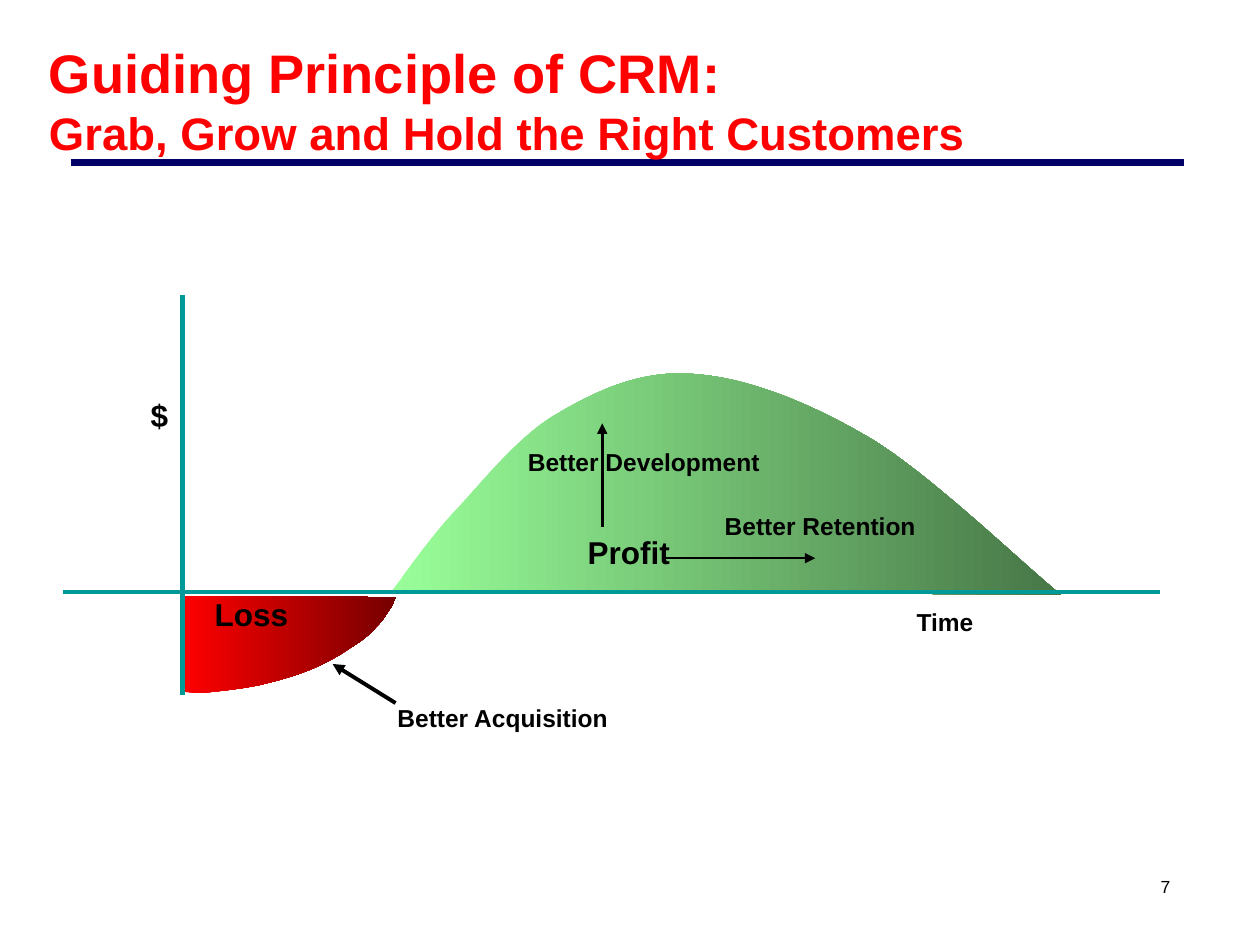
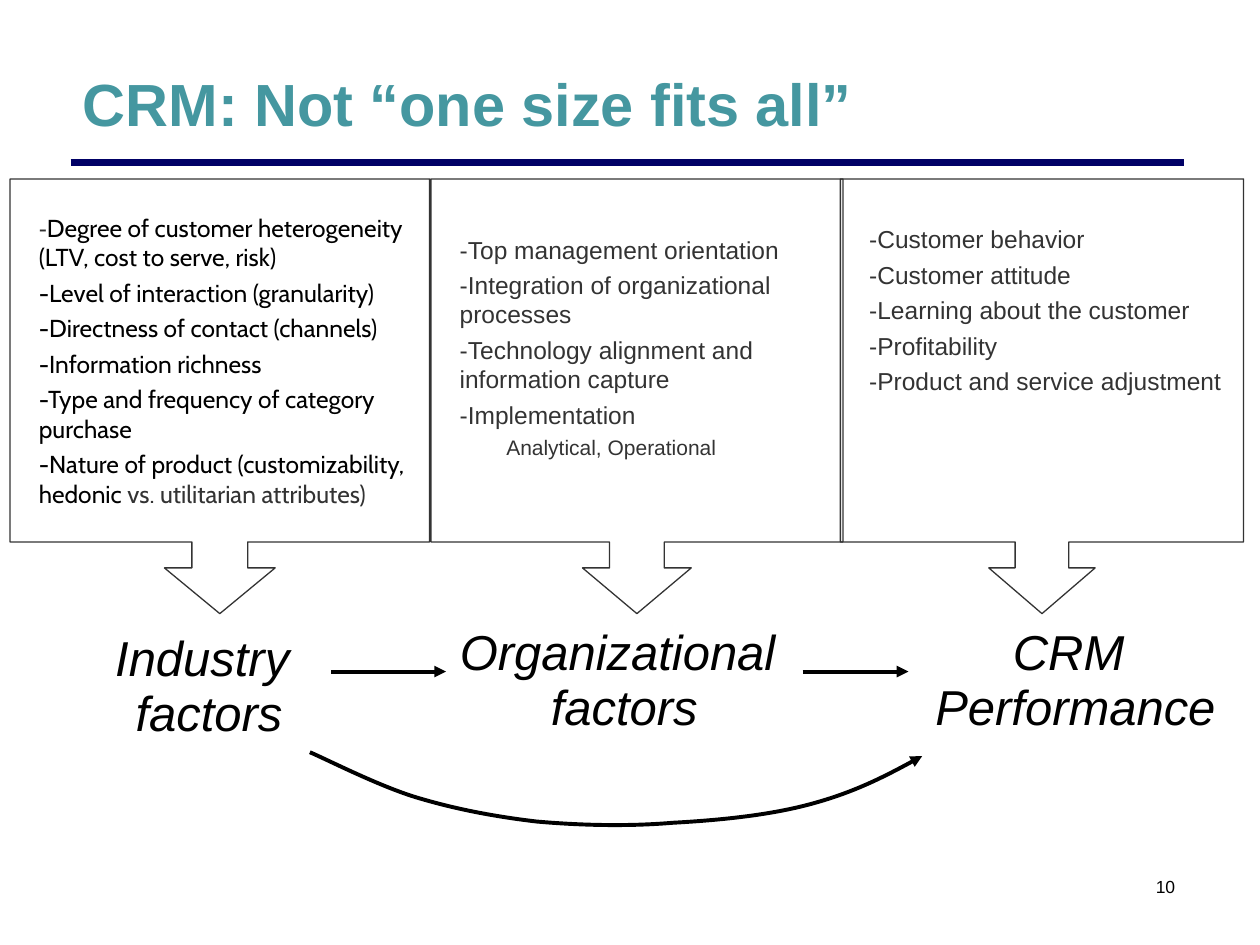
from dataclasses import dataclass, replace

from lxml.etree import SubElement
from pptx import Presentation
from pptx.dml.color import RGBColor
from pptx.enum.shapes import MSO_CONNECTOR, MSO_SHAPE
from pptx.enum.text import MSO_ANCHOR, PP_ALIGN
from pptx.oxml.ns import qn
from pptx.util import Inches, Pt


@dataclass(frozen=True)
class Style:
    size: int
    color: str = "000000"
    bold: bool = False
    italic: bool = False
    font: str = "Arial"


@dataclass(frozen=True)
class Theme:
    rule: str = "000066"
    axis: str = "009999"
    ink: str = "000000"
    outline: str = "333333"
    profit: tuple = ("99FF99", "477647")
    loss: tuple = ("FF0000", "760000")
    title: Style = Style(34, "4597A0", bold=True)
    title_red: Style = Style(31, "FF0000", bold=True)
    subtitle_red: Style = Style(26, "FF0000", bold=True)
    number: Style = Style(10)
    area: Style = Style(18, bold=True)
    label: Style = Style(14, bold=True)
    factor: Style = Style(28, italic=True)
    item: Style = Style(14, "333333")
    subitem: Style = Style(12, "333333")
    item_cabin: Style = Style(14, font="Cabin")


T = Theme()


# Text
def format_run(r, style):
    r.font.size = Pt(style.size)
    r.font.name = style.font
    r.font.bold = style.bold
    r.font.italic = style.italic
    r.font.color.rgb = RGBColor.from_string(style.color)


def add_text(s, box, text, styles, align=PP_ALIGN.CENTER,
             anchor=MSO_ANCHOR.TOP, wrap=True):
    """Each run takes its own style; the last style serves the rest."""
    shape = s.shapes.add_textbox(*map(Inches, box))
    tf = shape.text_frame
    tf.word_wrap = wrap
    tf.vertical_anchor = anchor
    tf.text = text
    runs = [r for p in tf.paragraphs for r in p.runs]
    for i, r in enumerate(runs):
        format_run(r, styles[min(i, len(styles) - 1)])
    for p in tf.paragraphs:
        p.alignment = align
    return shape


# Lines and outlines
def style_line(shape, color, width, arrow=False):
    shape.line.color.rgb = RGBColor.from_string(color)
    shape.line.width = Pt(width)
    if arrow:
        ln = shape.element.xpath(".//a:ln")[0]
        SubElement(ln, qn("a:tailEnd"), type="triangle")


def add_line(s, start, end, color, width, arrow=False):
    line = s.shapes.add_connector(MSO_CONNECTOR.STRAIGHT,
                                  *map(Inches, start + end))
    style_line(line, color, width, arrow)
    SubElement(line.element.spPr, qn("a:effectLst"))
    return line


def add_outline(s, start, segments, close):
    """A segment of one point is a straight line, one of three a curve."""
    builder = s.shapes.build_freeform(*map(Inches, start))
    builder.add_line_segments(
        [(Inches(x), Inches(y)) for segment in segments for x, y in segment],
        close=close)
    shape = builder.convert_to_shape()
    shape.shadow.inherit = False
    # Merge the three lines of each curve into one cubic step
    steps = iter(shape.element.xpath(".//a:path/a:lnTo"))
    for segment in segments:
        first, *others = [next(steps) for _ in segment]
        if others:
            first.tag = qn("a:cubicBezTo")
        for step in others:
            first.append(step[0])
            step.getparent().remove(step)
    return shape


def add_area(s, start, segments, colors):
    area = add_outline(s, start, segments, close=True)
    area.line.fill.background()
    area.fill.gradient()
    area.fill.gradient_angle = 0
    for stop, color in zip(area.fill.gradient_stops, colors):
        stop.color.rgb = RGBColor.from_string(color)


# Callout with a dashed list; each item is a list of (text, style) runs
def add_callout(s, left, width, items, blank_below=0.0):
    shape = s.shapes.add_shape(MSO_SHAPE.DOWN_ARROW_CALLOUT, Inches(left),
                               Inches(1.42), Inches(width), Inches(3.45))
    shape.shadow.inherit = False
    shape.fill.background()
    style_line(shape, T.outline, 0.75)
    for i, value in enumerate((0.133, 0.132, 0.363 / width, 0.835)):
        shape.adjustments[i] = value
    tf = shape.text_frame
    tf.word_wrap = True
    tf.vertical_anchor = MSO_ANCHOR.MIDDLE
    tf.margin_bottom = Inches(0.05 + blank_below)
    for i, runs in enumerate(items):
        p = tf.paragraphs[0] if i == 0 else tf.add_paragraph()
        size = runs[0][1].size
        indent = 0.5 if size == T.subitem.size else 0.13
        p.alignment = PP_ALIGN.LEFT
        p.space_before = Pt(size / 4 if i else 0)
        p._p.get_or_add_pPr().set("marL", str(Inches(indent)))
        for text, style in runs:
            r = p.add_run()
            r.text = text
            format_run(r, style)


def new_slide(prs, number, title_box, title, styles):
    s = prs.slides.add_slide(prs.slide_layouts[6])
    add_text(s, (9, 6.85, 0.5, 0.37), number, [T.number],
             anchor=MSO_ANCHOR.MIDDLE)
    add_line(s, (0.56, 1.29), (9.4, 1.29), T.rule, 4.5)
    add_text(s, title_box, title, styles, PP_ALIGN.LEFT, MSO_ANCHOR.MIDDLE)
    return s


def build_principle(prs):
    s = new_slide(prs, "7", (0.29, 0.33, 9.12, 0.92),
                  "Guiding Principle of CRM: \vGrab, Grow and Hold "
                  "the Right Customers", [T.title_red, T.subtitle_red])
    # Profit and loss areas
    add_area(s, (3.11, 4.69), [
        ((3.19, 4.59), (3.38, 4.31), (3.6, 4.07)),
        ((3.82, 3.84), (4.11, 3.46), (4.43, 3.28)),
        ((4.75, 3.09), (5.11, 2.93), (5.52, 2.97)),
        ((5.93, 3), (6.42, 3.19), (6.91, 3.48)),
        ((7.39, 3.77), (8.1, 4.46), (8.42, 4.72)),
    ], T.profit)
    add_area(s, (1.45, 5.49), [
        ((1.55, 5.5),),
        ((1.59, 5.5), (1.61, 5.5), (1.7, 5.49)),
        ((1.79, 5.48), (1.97, 5.46), (2.09, 5.43)),
        ((2.22, 5.4), (2.35, 5.36), (2.45, 5.32)),
        ((2.55, 5.28), (2.64, 5.23), (2.71, 5.19)),
        ((2.78, 5.14), (2.84, 5.11), (2.9, 5.06)),
        ((2.95, 5.02), (2.99, 4.97), (3.03, 4.93)),
        ((3.11, 4.81),), ((3.14, 4.74),), ((1.45, 4.73),),
    ], T.loss)
    # Axes
    add_line(s, (0.5, 4.7), (9.21, 4.7), T.axis, 2.25)
    add_line(s, (1.45, 2.34), (1.45, 5.52), T.axis, 3)
    # Labels
    for text, left, top, width, style in (
            ("Loss", 1.45, 4.67, 1.09, T.area),
            ("Profit", 4.2, 4.18, 1.58, T.area),
            ("$", 0.67, 3.09, 1.19, T.area),
            ("Better Development", 3.97, 3.5, 2.28, T.label),
            ("Better Retention", 5.52, 4.01, 1.98, T.label),
            ("Time", 6.36, 4.77, 2.28, T.label),
            ("Better Acquisition", 3, 5.53, 1.98, T.label)):
        height = 0.4 if style == T.area else 0.34
        add_text(s, (left, top, width, height), text, [style])
    # Arrows
    for start, end, width in (((5.28, 4.43), (6.47, 4.43), 1.5),
                              ((4.78, 4.18), (4.78, 3.36), 1.5),
                              ((3.14, 5.58), (2.64, 5.27), 2.25)):
        add_line(s, start, end, T.ink, width, arrow=True)


def build_factors(prs):
    s = new_slide(prs, "10", (0.56, 0.3, 8.81, 1.03),
                  "CRM: Not “one size fits all”", [T.title])
    # Factor names
    factors = []
    for text, box, spacing in (
            ("Industry\n factors", (0.58, 4.84, 2.05, 0.98), 1.4),
            ("Organizational \nfactors", (3.54, 4.86, 2.83, 0.94), 1.2),
            ("CRM \nPerformance", (7.21, 4.83, 2.65, 1), 1.2)):
        factor = add_text(s, box, text, [T.factor],
                          anchor=MSO_ANCHOR.MIDDLE, wrap=False)
        first, second = factor.text_frame.paragraphs
        first.line_spacing = spacing
        second.line_spacing = 0.7
        second.space_before = Pt(7)
        factors.append(factor)
    # Arrows between factors
    for before, after in zip(factors, factors[1:]):
        line = add_line(s, (0, 0), (1, 1), T.ink, 2.25, arrow=True)
        line.begin_connect(before, 3)
        line.end_connect(after, 1)
    arc = add_outline(s, (2.46, 5.97), [
        ((2.6, 6.03), (3.01, 6.24), (3.31, 6.33)),
        ((3.61, 6.42), (3.92, 6.48), (4.26, 6.52)),
        ((4.6, 6.55), (4.98, 6.56), (5.34, 6.53)),
        ((5.71, 6.51), (6.11, 6.47), (6.44, 6.38)),
        ((6.77, 6.29), (7.05, 6.15), (7.32, 6)),
    ], close=False)
    arc.fill.background()
    style_line(arc, T.ink, 2.25, arrow=True)
    # Callouts
    organization = [[(text, T.item)] for text in (
        "-Top management orientation",
        "-Integration of organizational processes",
        "-Technology alignment and information capture",
        "-Implementation")]
    organization.append([("Analytical, Operational", T.subitem)])
    performance = [[(text, T.item)] for text in (
        "-Customer behavior", "-Customer attitude",
        "-Learning about the customer", "-Profitability",
        "-Product and service adjustment")]
    industry = [[("-", T.item), ("Degree of customer heterogeneity "
                                 "(LTV, cost to serve, risk)", T.item_cabin)]]
    industry += [[(text, T.item_cabin)] for text in (
        "-Level of interaction (granularity)",
        "-Directness of contact (channels)",
        "-Information richness",
        "-Type and frequency of category purchase",
        "-Nature of product (customizability, hedonic")]
    industry[-1].append((" vs. utilitarian attributes)",
                         replace(T.item_cabin, color=T.item.color)))
    add_callout(s, 3.42, 3.27, organization, blank_below=0.21)
    add_callout(s, 6.67, 3.2, performance, blank_below=0.8)
    add_callout(s, 0.08, 3.33, industry)


def main():
    prs = Presentation()
    prs.slide_width, prs.slide_height = Inches(10), Inches(7.5)
    build_principle(prs)
    build_factors(prs)
    prs.save("out.pptx")


if __name__ == "__main__":
    main()
